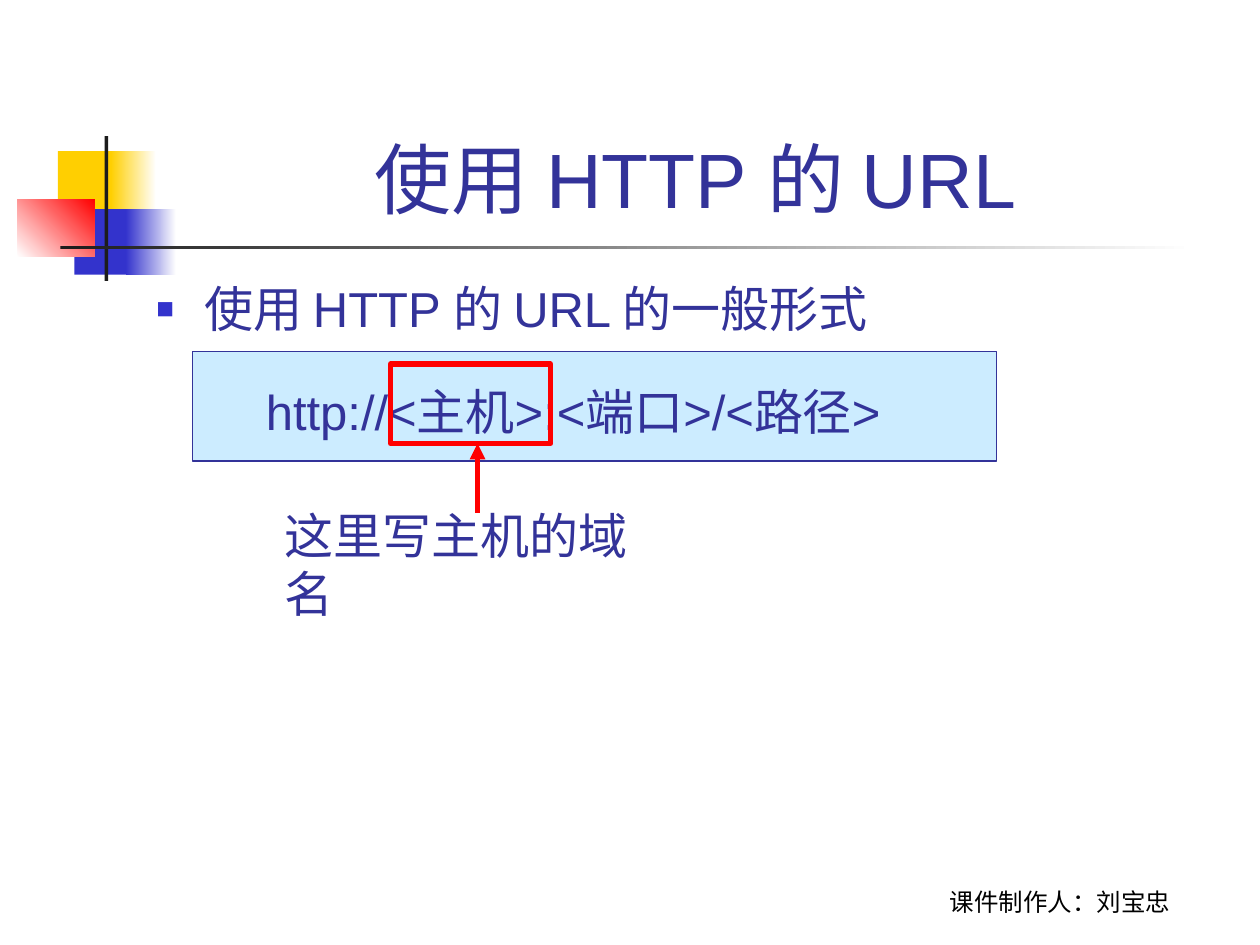
from pptx import Presentation
from pptx.dml.color import RGBColor
from pptx.enum.shapes import MSO_CONNECTOR, MSO_SHAPE
from pptx.enum.text import MSO_ANCHOR, MSO_AUTO_SIZE, PP_ALIGN
from pptx.oxml.ns import qn
from pptx.util import Inches, Pt
from lxml.etree import SubElement

THEME = dict(
    ink="333399", blue="3333CC", gold="FFCF01", red="FF0000", dark="1C1C1C",
    pale="CCECFF", white="FFFFFF", black="000000",
    latin="Arial", han="Roboto", head=44, main=28, foot=14,
)

TITLE = "使用 HTTP 的 URL"
LEAD = "使用 HTTP 的 URL 的一般形式"
FORM = "http://<主机>:<端口>/<路径>"
NOTE = "这里写主机的域名"
FOOT = "课件制作人：刘宝忠"

# place, colours (two make a gradient), gradient angle
DECOR = [
    ((0.46, 1.2, 0.48, 0.52), ["gold"], 0),
    ((0.88, 1.2, 0.36, 0.52), ["gold", "white"], 0),
    ((0.59, 1.66, 0.46, 0.52), ["blue"], 0),
    ((1, 1.66, 0.4, 0.52), ["blue", "white"], 0),
    ((0.14, 1.58, 0.61, 0.46), ["white", "red"], 45),
    ((0.83, 1.08, 0.03, 1.15), ["dark"], 0),
    ((0.48, 1.95, 9, 0.03), ["dark", "white"], 0),
]
FORM_BOX = (1.53, 2.79, 6.38, 0.87)
HOST_BOX = (3.1, 2.89, 1.27, 0.63)
ARROW = (3.79, 4.07, 3.79, 3.52)


def tone(name):
    return RGBColor.from_string(THEME[name])


def place(shape, spot):
    shape.left, shape.top, shape.width, shape.height = map(Inches, spot)


def style(para, size, face="latin", color="ink"):
    for run in para.runs:
        run.font.size = Pt(THEME[size])
        run.font.name = THEME[face]
        run.font.color.rgb = tone(color)


def block(shapes, spot, fills=(), angle=0, edge=None, width=0.75):
    shape = shapes.add_shape(MSO_SHAPE.RECTANGLE, *map(Inches, spot))
    shape.shadow.inherit = False
    if len(fills) == 2:
        shape.fill.gradient()
        shape.fill.gradient_angle = angle
        for stop, name in zip(shape.fill.gradient_stops, fills):
            stop.color.rgb = tone(name)
    elif fills:
        shape.fill.solid()
        shape.fill.fore_color.rgb = tone(fills[0])
    else:
        shape.fill.background()
    if edge:
        shape.line.color.rgb = tone(edge)
        shape.line.width = Pt(width)
    else:
        shape.line.fill.background()


def label(shapes, spot, text, size, color):
    box = shapes.add_textbox(*map(Inches, spot))
    box.text_frame.text = text
    style(box.text_frame.paragraphs[0], size, "han", color)
    return box.text_frame


def indent(para, left, hang=0, mark=None):
    """Set the indents and the bullet; no mark means no bullet."""
    props = para._p.get_or_add_pPr()
    props.set("marL", str(Inches(left)))
    props.set("indent", str(-Inches(hang)))
    if mark:
        color = SubElement(props, qn("a:buClr"))
        SubElement(color, qn("a:srgbClr"), val=THEME["blue"])
        SubElement(props, qn("a:buSzPct"), val="60000")
        SubElement(props, qn("a:buChar"), char=mark)
    else:
        SubElement(props, qn("a:buNone"))


def arrow(shapes, spot, color, width):
    line = shapes.add_connector(MSO_CONNECTOR.STRAIGHT, *map(Inches, spot))
    line.line.color.rgb = tone(color)
    line.line.width = Pt(width)
    SubElement(line.line._get_or_add_ln(), qn("a:tailEnd"), type="triangle")
    SubElement(line._element.spPr, qn("a:effectLst"))


def main():
    prs = Presentation()
    prs.slide_width, prs.slide_height = Inches(10), Inches(7.5)
    slide = prs.slides.add_slide(prs.slide_layouts[1])
    shapes = slide.shapes
    title, body = slide.placeholders

    for spot, fills, angle in DECOR:
        block(shapes, spot, fills, angle)
    foot = label(shapes, (6.83, 6.82, 3.17, 0.5), FOOT, "foot", "black")
    foot.word_wrap = True
    foot.vertical_anchor = MSO_ANCHOR.BOTTOM
    foot.paragraphs[0].alignment = PP_ALIGN.CENTER
    block(shapes, FORM_BOX, ["pale"], edge="ink")

    # Bring the placeholders in front of the filled box
    for holder, spot, anchor in (
        (title, (1.26, 0.23, 8.52, 1.6), MSO_ANCHOR.BOTTOM),
        (body, (1.14, 2.16, 8.5, 1.5), MSO_ANCHOR.TOP),
    ):
        shapes._spTree.append(holder._element)
        place(holder, spot)
        holder.text_frame.auto_size = MSO_AUTO_SIZE.NONE
        holder.text_frame.vertical_anchor = anchor

    title.text_frame.text = TITLE
    head = title.text_frame.paragraphs[0]
    head.alignment = PP_ALIGN.CENTER
    style(head, "head")

    body.text_frame.text = LEAD
    lead = body.text_frame.paragraphs[0]
    form = body.text_frame.add_paragraph()
    form.text = FORM
    lead.space_before, form.space_before = Pt(0), Pt(25)
    indent(lead, 0.38, 0.38, "■")
    indent(form, 0.87)
    for para in (lead, form):
        style(para, "main")

    block(shapes, HOST_BOX, edge="red", width=3)
    arrow(shapes, ARROW, "red", 3)
    note = label(shapes, (2.16, 3.96, 3.3, 0.57), NOTE, "main", "ink")
    note.word_wrap = False
    note.auto_size = MSO_AUTO_SIZE.SHAPE_TO_FIT_TEXT

    prs.save("out.pptx")


if __name__ == "__main__":
    main()
